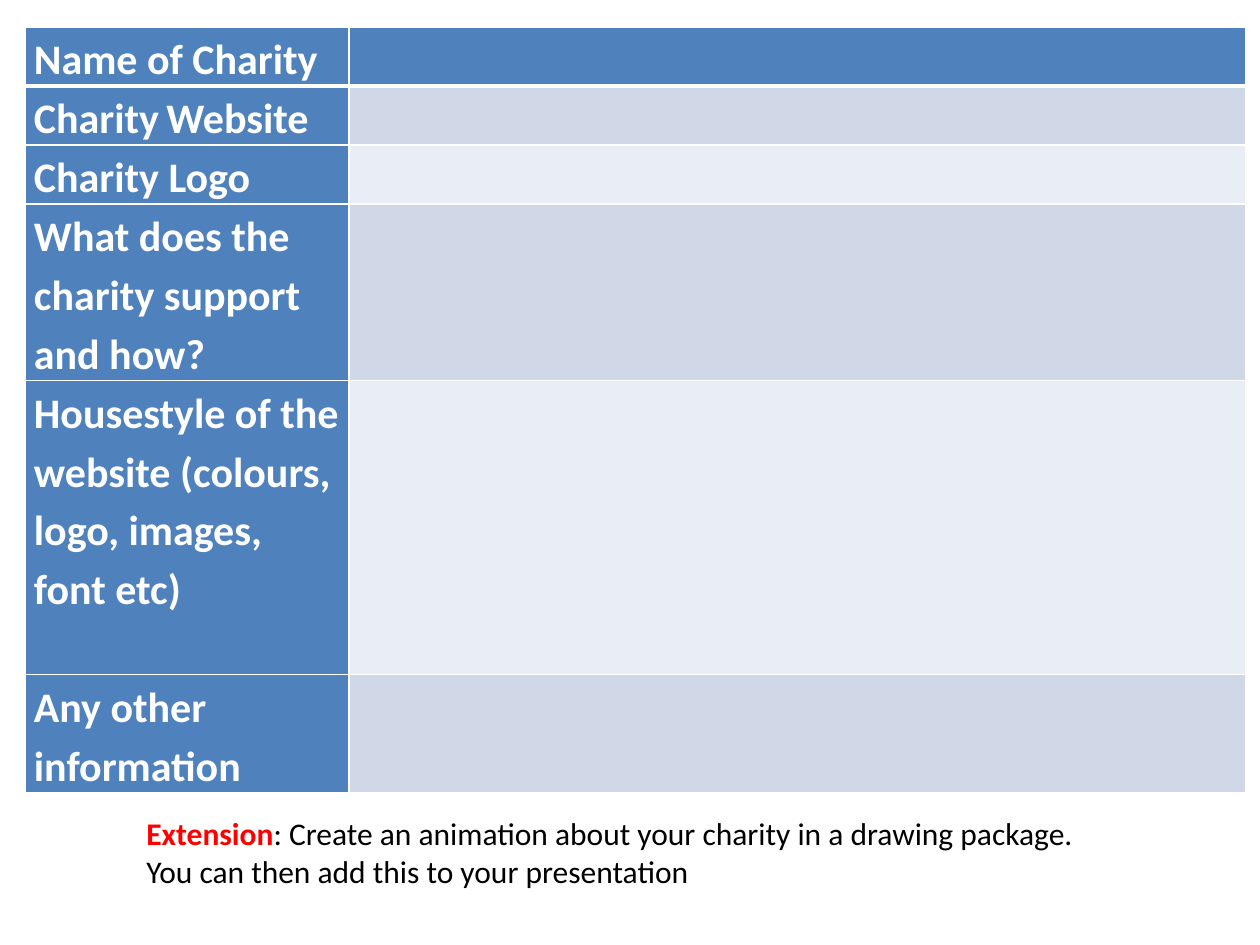
"""Build a charity research worksheet slide with a table and an extension task."""
from lxml import etree
from pptx import Presentation
from pptx.dml.color import RGBColor
from pptx.enum.text import MSO_AUTO_SIZE
from pptx.oxml.ns import qn
from pptx.util import Emu, Pt

PIXEL = 914400 // 126
GROW = MSO_AUTO_SIZE.SHAPE_TO_FIT_TEXT
BLUE, WHITE, RED, BLACK = "4F81BD", "FFFFFF", "FF0000", "000000"
BANDS = ["E9EDF4", "D0D8E8"]
LINE_HEIGHT = 58.8


def color(value):
    return RGBColor.from_string(value)


def add_borders(cell, bottom_width):
    properties = cell._tc.get_or_add_tcPr()
    for side, width in (("L", 1), ("R", 1), ("T", 1), ("B", bottom_width)):
        line = etree.SubElement(properties, qn(f"a:ln{side}"), w=str(Pt(width)))
        fill = etree.SubElement(line, qn("a:solidFill"))
        etree.SubElement(fill, qn("a:srgbClr"), val=WHITE)


presentation = Presentation()
presentation.slide_width = Emu(1260 * PIXEL)
presentation.slide_height = Emu(945 * PIXEL)
slide = presentation.slides.add_slide(presentation.slide_layouts[6])

questions = [
    (["Name of Charity"], 1),
    (["Charity", " ", "Website"], 1),
    (["Charity Logo"], 1),
    (["What does the charity support and how?"], 3),
    (["Housestyle of the website (colours, logo, images, font etc)"], 5),
    (["Any other information"], 2),
]
heights = [round(lines * LINE_HEIGHT) for texts, lines in questions]
column_widths = [324, 897]
table = slide.shapes.add_table(
    len(questions), 2, Emu(25 * PIXEL), Emu(27 * PIXEL),
    Emu(sum(column_widths) * PIXEL), Emu(sum(heights) * PIXEL)).table
for column, width in zip(table.columns, column_widths):
    column.width = Emu(width * PIXEL)

for index, (texts, lines) in enumerate(questions):
    table.rows[index].height = Emu(heights[index] * PIXEL)
    label, answer = table.cell(index, 0), table.cell(index, 1)
    answer_fill = BANDS[index % 2] if index else BLUE
    for cell, fill in ((label, BLUE), (answer, answer_fill)):
        add_borders(cell, 1 if index else 3)
        cell.fill.solid()
        cell.fill.fore_color.rgb = color(fill)
        cell.margin_left = cell.margin_right = Emu(9 * PIXEL)
        cell.margin_top = cell.margin_bottom = 0
    paragraph = label.text_frame.paragraphs[0]
    paragraph.line_spacing = 1.15
    for text in texts:
        run = paragraph.add_run()
        run.text = text
        run.font.name = "Calibri"
        run.font.size = Pt(18 if text == " " else 24)
        run.font.bold = True
        run.font.color.rgb = color(WHITE)

extension = slide.shapes.add_textbox(
    Emu(134 * PIXEL), Emu(808 * PIXEL), Emu(970 * PIXEL), Emu(89 * PIXEL))
text_frame = extension.text_frame
text_frame.word_wrap = False
text_frame.auto_size = GROW
extension_lines = [
    [("Extension", RED, True),
     (": Create an animation about your charity in a drawing package. ", BLACK, False)],
    [("You can then add this to your presentation", BLACK, False)],
]
for index, runs in enumerate(extension_lines):
    paragraph = text_frame.add_paragraph() if index else text_frame.paragraphs[0]
    paragraph.font.name = "Calibri"
    paragraph.font.size = Pt(18)
    for text, text_color, bold in runs:
        run = paragraph.add_run()
        run.text = text
        run.font.bold = bold
        run.font.color.rgb = color(text_color)

presentation.save("out.pptx")
